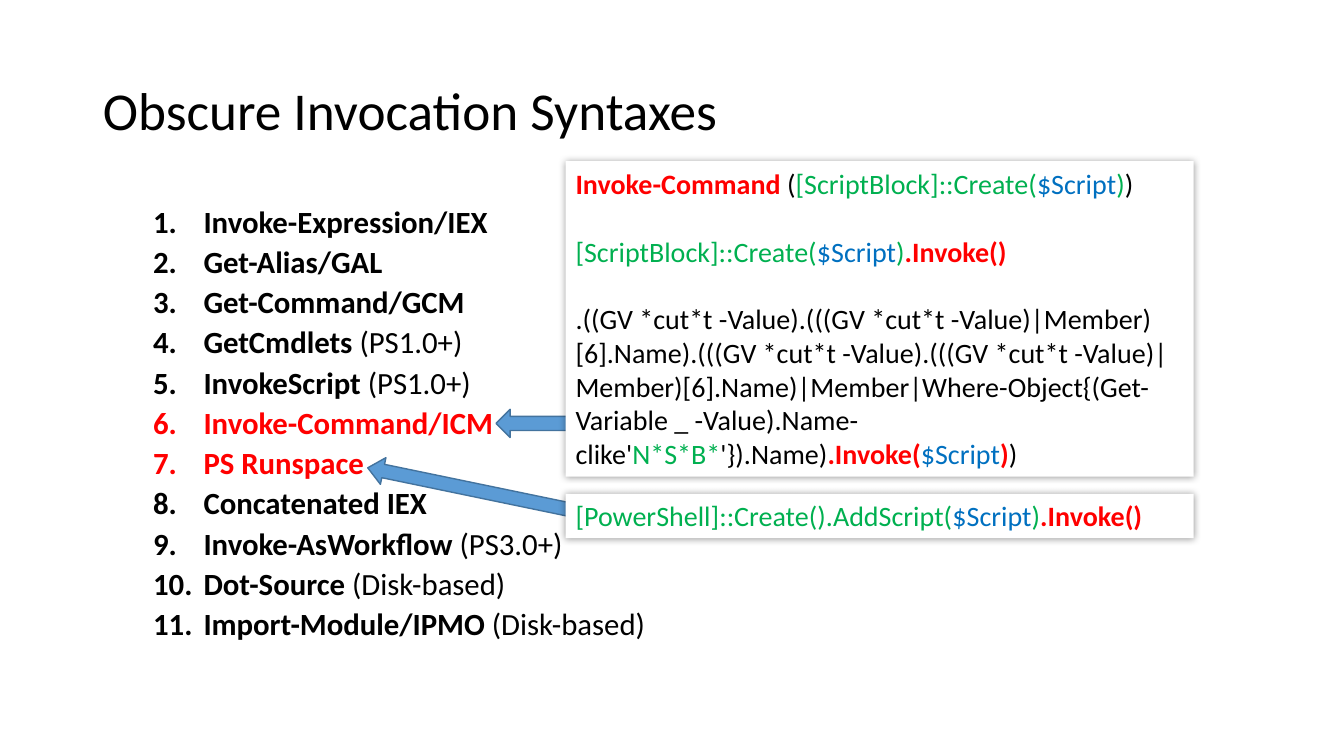
from dataclasses import dataclass

from lxml import etree
from pptx import Presentation
from pptx.dml.color import RGBColor
from pptx.enum import shapes, text
from pptx.oxml.ns import qn
from pptx.util import Inches, Pt


@dataclass(frozen=True)
class Theme:
    font: str = "Calibri"
    black: str = "000000"
    white: str = "FFFFFF"
    red: str = "FF0000"
    green: str = "00B050"
    blue: str = "0070C0"
    arrow_fill: str = "5B9BD5"
    arrow_line: str = "43739E"
    title_size: int = 38
    list_size: int = 22
    code_size: int = 20


THEME = Theme()

# Each item: bold name, plain remark, colour
SYNTAXES = [
    ("Invoke-Expression/IEX", "", THEME.black),
    ("Get-Alias/GAL", "", THEME.black),
    ("Get-Command/GCM", "", THEME.black),
    ("GetCmdlets", " (PS1.0+)", THEME.black),
    ("InvokeScript", " (PS1.0+)", THEME.black),
    ("Invoke-Command/ICM", "", THEME.red),
    ("PS Runspace", "", THEME.red),
    ("Concatenated IEX", "", THEME.black),
    ("Invoke-AsWorkflow", " (PS3.0+)", THEME.black),
    ("Dot-Source", " (Disk-based)", THEME.black),
    ("Import-Module/IPMO", " (Disk-based)", THEME.black),
]


def plain(words):
    return words, THEME.black, False


def block(words):
    return words, THEME.green, False


def call(words):
    return words, THEME.red, True


SCRIPT = ("$Script", THEME.blue, False)
CREATE = [block("[ScriptBlock]::Create("), SCRIPT, block(")")]

COMMAND_CODE = [
    [call("Invoke-Command"), plain(" ("), *CREATE, plain(")")],
    [*CREATE, call(".Invoke()")],
    [
        plain(
            ".((GV *cut*t -Value).(((GV *cut*t -Value)|Member)[6].Name)"
            ".(((GV *cut*t -Value).(((GV *cut*t -Value)|Member)[6].Name)"
            "|Member|Where-Object{(Get-Variable _ -Value).Name-clike'"
        ),
        block("N*S*B*"),
        plain("'}).Name)"),
        call(".Invoke("),
        SCRIPT,
        call(")"),
        plain(")"),
    ],
]
RUNSPACE_CODE = [
    [block("[PowerShell]::Create().AddScript("), SCRIPT, block(")"), call(".Invoke()")],
]


def format_font(font, size, color, bold=False):
    font.name = THEME.font
    font.size = Pt(size)
    font.bold = bold
    font.color.rgb = RGBColor.from_string(color)


def add_runs(paragraph, pieces, size):
    """Fill a paragraph with (words, colour, bold) pieces."""
    for words, color, bold in pieces:
        run = paragraph.add_run()
        run.text = words
        format_font(run.font, size, color, bold)


def paragraphs_for(frame, items):
    """Pair each item with a paragraph, using the frame's first one first."""
    for index, item in enumerate(items):
        yield (frame.add_paragraph() if index else frame.paragraphs[0]), item


def set_title(slide, words):
    title = slide.shapes.title
    title.left, title.top = Inches(0.92), Inches(0.4)
    title.width, title.height = Inches(11.5), Inches(1.45)
    frame = title.text_frame
    frame.text = words
    frame.auto_size = text.MSO_AUTO_SIZE.NONE
    frame.vertical_anchor = text.MSO_ANCHOR.MIDDLE
    heading = frame.paragraphs[0]
    heading.alignment = text.PP_ALIGN.LEFT
    heading.line_spacing = 0.9
    format_font(heading.runs[0].font, THEME.title_size, THEME.black)


def number_paragraph(paragraph):
    """Give the paragraph an automatic number and a hanging indent."""
    properties = paragraph._p.get_or_add_pPr()
    properties.set("marL", str(Inches(1)))
    properties.set("indent", str(Inches(-0.5)))
    etree.SubElement(properties, qn("a:buFont"), typeface="+mj-lt")
    etree.SubElement(properties, qn("a:buAutoNum"), type="arabicPeriod")


def add_numbered_list(slide, items, left, top, width, height):
    box = slide.shapes.add_textbox(Inches(left), Inches(top), Inches(width), Inches(height))
    frame = box.text_frame
    frame.word_wrap = True
    for index, (paragraph, (name, remark, color)) in enumerate(paragraphs_for(frame, items)):
        number_paragraph(paragraph)
        paragraph.line_spacing = 0.9
        paragraph.space_before = Pt(5 if index else 0)
        pieces = [(name, color, True)]
        if remark:
            pieces.append((remark, color, False))
        add_runs(paragraph, pieces, THEME.list_size)


def add_arrow(slide, left, top, width, height, rotation, head=0.5):
    arrow = slide.shapes.add_shape(
        shapes.MSO_SHAPE.UP_ARROW, Inches(left), Inches(top), Inches(width), Inches(height)
    )
    arrow.rotation = rotation
    arrow.adjustments[1] = head
    arrow.shadow.inherit = False
    arrow.fill.solid()
    arrow.fill.fore_color.rgb = RGBColor.from_string(THEME.arrow_fill)
    arrow.line.color.rgb = RGBColor.from_string(THEME.arrow_line)
    arrow.line.width = Pt(1)


def add_glow_shadow(shape):
    """Add a soft shadow that spreads evenly on all sides."""
    shape.shadow.inherit = False
    effects = shape._element.spPr.find(qn("a:effectLst"))
    shadow = etree.SubElement(
        effects, qn("a:outerShdw"), blurRad=str(Pt(5)), dist="0", dir="0", rotWithShape="0"
    )
    color = etree.SubElement(shadow, qn("a:srgbClr"), val=THEME.black)
    etree.SubElement(color, qn("a:alpha"), val="40000")


def add_code_box(slide, lines, top, height):
    box = slide.shapes.add_shape(
        shapes.MSO_SHAPE.RECTANGLE, Inches(5.61), Inches(top), Inches(6.23), Inches(height)
    )
    box.fill.solid()
    box.fill.fore_color.rgb = RGBColor.from_string(THEME.white)
    box.line.fill.background()
    add_glow_shadow(box)
    frame = box.text_frame
    frame.word_wrap = True
    frame.auto_size = text.MSO_AUTO_SIZE.SHAPE_TO_FIT_TEXT
    frame.vertical_anchor = text.MSO_ANCHOR.TOP
    for index, (paragraph, pieces) in enumerate(paragraphs_for(frame, lines)):
        paragraph.alignment = text.PP_ALIGN.LEFT
        paragraph.space_before = Pt(24.4 if index else 0)
        add_runs(paragraph, pieces, THEME.code_size)


def main():
    deck = Presentation()
    deck.slide_width, deck.slide_height = Inches(13.33), Inches(7.5)
    slide = deck.slides.add_slide(deck.slide_layouts[5])
    set_title(slide, "Obscure Invocation Syntaxes")
    add_numbered_list(slide, SYNTAXES, 0.92, 2, 12.31, 4.76)
    add_arrow(slide, 5.18, 3.8, 0.28, 0.8, rotation=270)
    add_arrow(slide, 4.57, 3.78, 0.27, 2.16, rotation=281.7, head=0.58)
    add_code_box(slide, COMMAND_CODE, top=1.6, height=3.13)
    add_code_box(slide, RUNSPACE_CODE, top=4.9, height=0.44)
    deck.save("out.pptx")


if __name__ == "__main__":
    main()
